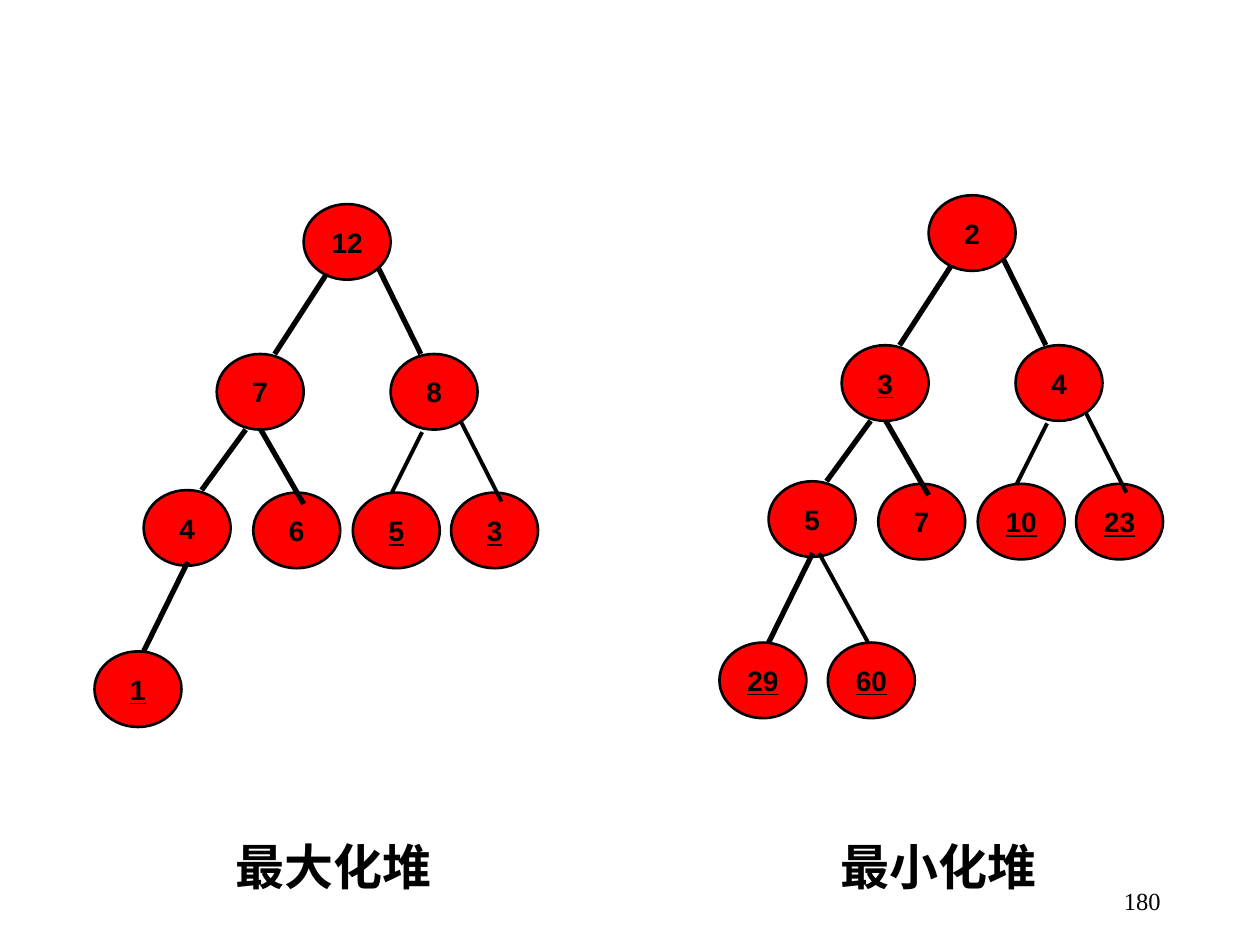
from lxml import etree
from pptx import Presentation
from pptx.dml.color import RGBColor
from pptx.enum.shapes import MSO_CONNECTOR, MSO_SHAPE
from pptx.enum.text import MSO_ANCHOR, PP_ALIGN
from pptx.oxml.ns import qn
from pptx.util import Inches, Pt

OVAL = MSO_SHAPE.OVAL
STRAIGHT = MSO_CONNECTOR.STRAIGHT
MIDDLE, TOP = MSO_ANCHOR.MIDDLE, MSO_ANCHOR.TOP
LEFT, CENTER, RIGHT = PP_ALIGN.LEFT, PP_ALIGN.CENTER, PP_ALIGN.RIGHT

BLACK, RED = "000000", "FF0000"
NODE_WIDTH, NODE_HEIGHT = 0.69, 0.6
THICK, THIN = 3, 2.25

# Node positions in heap order, measured from the root's top left corner
NODE_OFFSETS = [
    (0, 0),
    (-0.69, 1.19), (0.69, 1.19),
    (-1.27, 2.27), (-0.4, 2.29), (0.39, 2.29), (1.17, 2.29),
    (-1.66, 3.55), (-0.8, 3.55),
]

# Edge leading into each node after the root: start, end, line width
EDGES = [
    ((0.23, 0.48), (-0.23, 1.19), THICK),
    ((0.58, 0.48), (0.93, 1.19), THICK),
    ((-0.46, 1.79), (-0.81, 2.27), THICK),
    ((-0.34, 1.79), (0, 2.38), THICK),
    ((0.94, 1.81), (0.7, 2.29), THIN),
    ((1.25, 1.73), (1.57, 2.36), THIN),
    ((-0.92, 2.84), (-1.27, 3.55), THICK),
    ((-0.87, 2.84), (-0.48, 3.55), THIN),
]

# Root position, values in heap order, underlined values
MAX_HEAP = ((2.41, 1.62), [12, 7, 8, 4, 6, 5, 3, 1], {5, 3, 1})
MIN_HEAP = ((7.37, 1.55), [2, 3, 4, 5, 7, 10, 23, 29, 60], {3, 10, 23, 29, 60})


def color(value):
    return RGBColor.from_string(value)


def write_text(shape, text, font="Arial", size=16, bold=False, underline=False,
               align=LEFT, anchor=TOP, wrap=True):
    frame = shape.text_frame
    frame.word_wrap = wrap
    frame.vertical_anchor = anchor
    paragraph = frame.paragraphs[0]
    paragraph.alignment = align
    run = paragraph.add_run()
    run.text = text
    run.font.name = font
    run.font.size = Pt(size)
    run.font.bold = bold
    run.font.underline = underline
    run.font.color.rgb = color(BLACK)


def add_label(slide, left, top, width, height, text, **text_format):
    box = slide.shapes.add_textbox(Inches(left), Inches(top), Inches(width), Inches(height))
    write_text(box, text, font="Times New Roman", **text_format)


def add_node(shapes, left, top, value, underline):
    node = shapes.add_shape(OVAL, Inches(left), Inches(top),
                            Inches(NODE_WIDTH), Inches(NODE_HEIGHT))
    node.shadow.inherit = False
    node.fill.solid()
    node.fill.fore_color.rgb = color(RED)
    node.line.color.rgb = color(BLACK)
    node.line.width = Pt(1.5)
    write_text(node, str(value), bold=True, underline=underline,
               align=CENTER, anchor=MIDDLE, wrap=False)


def add_edge(shapes, root, start, end, width):
    x, y = root
    edge = shapes.add_connector(STRAIGHT, Inches(x + start[0]), Inches(y + start[1]),
                                Inches(x + end[0]), Inches(y + end[1]))
    edge.line.color.rgb = color(BLACK)
    edge.line.width = Pt(width)
    etree.SubElement(edge._element.spPr, qn("a:effectLst"))


def add_heap(slide, root, values, underlined):
    shapes = slide.shapes.add_group_shape().shapes
    nodes = [(root[0] + x, root[1] + y, value, value in underlined)
             for (x, y), value in zip(NODE_OFFSETS, values)]
    for node in nodes[1:]:
        add_node(shapes, *node)
    for edge in EDGES[:len(values) - 1]:
        add_edge(shapes, root, *edge)
    # The root covers the upper ends of its edges
    add_node(shapes, *nodes[0])


def main():
    presentation = Presentation()
    presentation.slide_width = Inches(10)
    presentation.slide_height = Inches(7.5)
    slide = presentation.slides.add_slide(presentation.slide_layouts[6])

    # Page number
    add_label(slide, 7.06, 6.95, 2.25, 0.4, "180", size=14, align=RIGHT, anchor=MIDDLE)

    # Heaps
    add_heap(slide, *MAX_HEAP)
    add_heap(slide, *MIN_HEAP)

    # Captions
    add_label(slide, 1.77, 6.59, 2.13, 0.57, "最大化堆", size=28, bold=True)
    add_label(slide, 6.57, 6.59, 2.28, 0.57, "最小化堆", size=28, bold=True)

    presentation.save("out.pptx")


if __name__ == "__main__":
    main()
